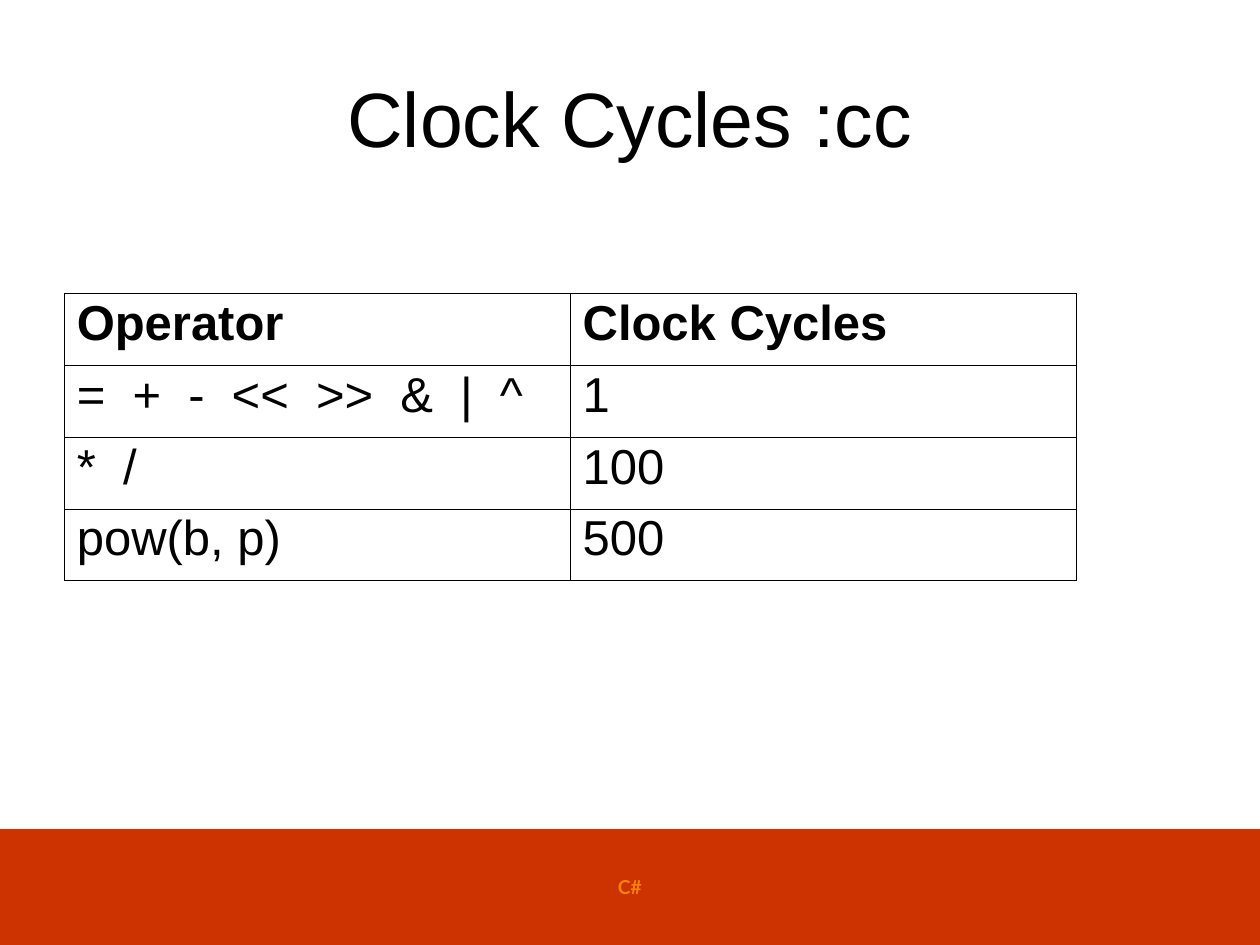
from lxml.etree import SubElement
from pptx import Presentation
from pptx.dml.color import RGBColor
from pptx.enum.shapes import MSO_SHAPE
from pptx.enum.text import MSO_ANCHOR, PP_ALIGN
from pptx.oxml.ns import qn
from pptx.util import Inches, Pt

BLACK = RGBColor(0x00, 0x00, 0x00)
RED = RGBColor(0xCC, 0x33, 0x00)
ORANGE = RGBColor(0xF5, 0x80, 0x0B)

OUTER_LINE, INNER_LINE = Pt(0.5), Pt(0.23)
ROWS = [
    ("Operator", "Clock Cycles"),
    ("=  +  -  <<  >>  &  |  ^", "1"),
    ("*  /", "100"),
    ("pow(b, p)", "500"),
]


def write(frame, text, size, font="Arial", color=BLACK, bold=False,
          align=None, line_spacing=None, space_before=None):
    para = frame.paragraphs[0]
    para.alignment = align
    para.line_spacing = line_spacing
    para.space_before = space_before
    span = para.add_run()
    span.text = text
    span.font.name = font
    span.font.size = Pt(size)
    span.font.bold = bold
    span.font.color.rgb = color


def set_borders(cell, widths):
    """Draw solid black borders; widths maps a side (L, R, T, B) to a width."""
    properties = cell._tc.get_or_add_tcPr()
    for side, width in widths.items():
        line = SubElement(properties, qn(f"a:ln{side}"), w=str(int(width)))
        fill = SubElement(line, qn("a:solidFill"))
        SubElement(fill, qn("a:srgbClr"), val=str(BLACK))


def add_footer(page, left, top, width, height):
    band = page.shapes.add_shape(MSO_SHAPE.RECTANGLE, left, top, width, height)
    band.shadow.inherit = False
    band.fill.solid()
    band.fill.fore_color.rgb = RED
    band.line.fill.background()
    band.text_frame.vertical_anchor = MSO_ANCHOR.MIDDLE
    write(band.text_frame, "C#", 11, font="Lato", color=ORANGE, bold=True,
          align=PP_ALIGN.CENTER)


def add_title(page, left, top, width, height):
    box = page.shapes.add_textbox(left, top, width, height)
    box.text_frame.word_wrap = True
    box.text_frame.vertical_anchor = MSO_ANCHOR.MIDDLE
    write(box.text_frame, "Clock Cycles :cc", 44, align=PP_ALIGN.CENTER)


def add_cycle_table(page, left, top, width, height):
    last_row, last_column = len(ROWS) - 1, len(ROWS[0]) - 1
    table = page.shapes.add_table(len(ROWS), len(ROWS[0]),
                                  left, top, width, height).table
    table.first_row = table.horz_banding = False
    for r, row in enumerate(ROWS):
        for c, text in enumerate(row):
            cell = table.cell(r, c)
            edges = {"L": c == 0, "R": c == last_column,
                     "T": r == 0, "B": r == last_row}
            set_borders(cell, {side: OUTER_LINE if outer else INNER_LINE
                               for side, outer in edges.items()})
            cell.fill.background()
            write(cell.text_frame, text, 28, bold=r == 0,
                  line_spacing=0.93, space_before=Pt(7))


def main():
    deck = Presentation()
    deck.slide_width, deck.slide_height = Inches(10), Inches(7.5)
    page = deck.slides.add_slide(deck.slide_layouts[6])

    footer_top = Inches(6.58)
    add_footer(page, 0, footer_top, deck.slide_width,
               deck.slide_height - footer_top)
    margin = Inches(0.5)
    add_title(page, margin, Inches(0.3),
              deck.slide_width - 2 * margin, Inches(1.25))
    add_cycle_table(page, Inches(0.51), Inches(2.33),
                    Inches(8.03), Inches(2.28))
    deck.save("out.pptx")


if __name__ == "__main__":
    main()
